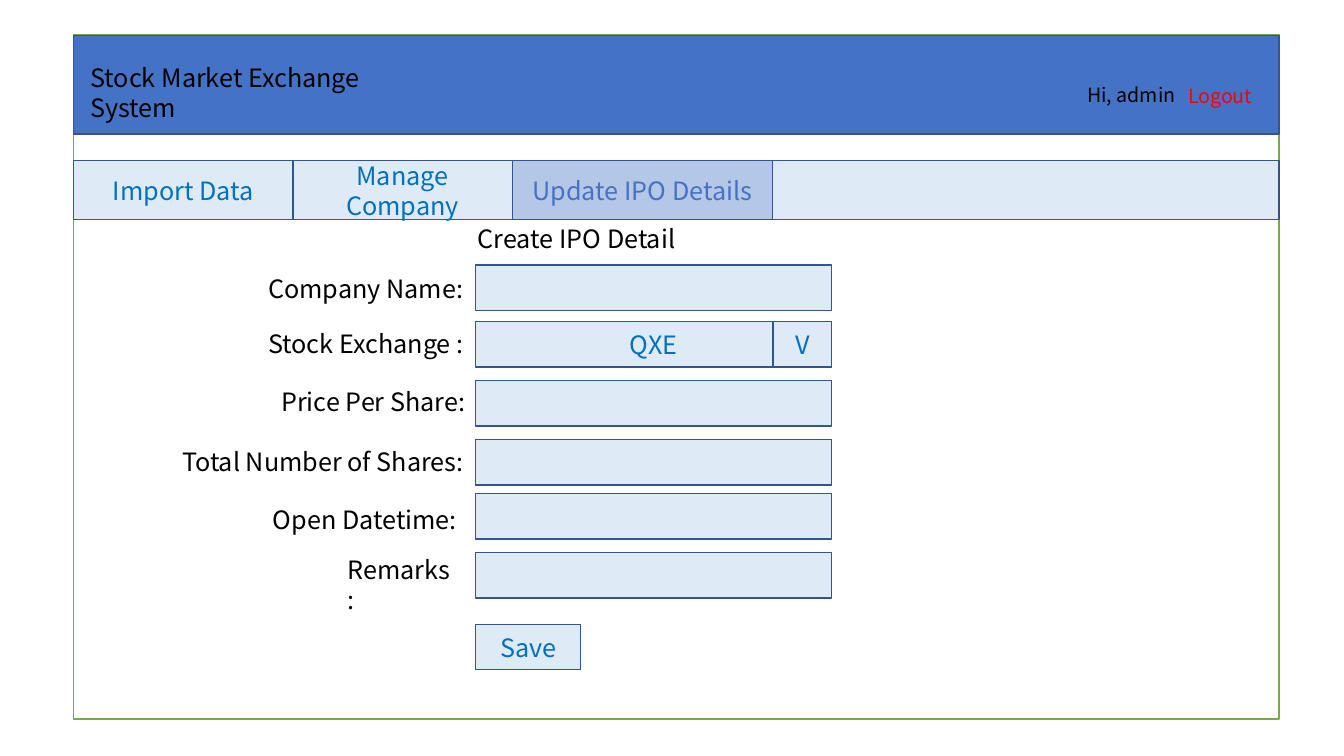
from pptx import Presentation
from pptx.dml.color import RGBColor
from pptx.enum.shapes import MSO_SHAPE
from pptx.enum.text import MSO_ANCHOR, PP_ALIGN
from pptx.util import Cm, Pt

FONT = "Noto Sans CJK SC"
PALE, BLUE, LINK = "DEEBF7", "4472C4", "0070C0"
color = RGBColor.from_string

presentation = Presentation()
presentation.slide_width, presentation.slide_height = Cm(33.87), Cm(19.05)
slide = presentation.slides.add_slide(presentation.slide_layouts[6])


def add_box(left, top, width, height, text="", fill=PALE, line="325491", text_color=LINK):
    shape = slide.shapes.add_shape(
        MSO_SHAPE.RECTANGLE, Cm(left), Cm(top), Cm(width), Cm(height))
    shape.shadow.inherit = False
    shape.fill.solid()
    shape.fill.fore_color.rgb = color(fill)
    shape.line.color.rgb = color(line)
    shape.line.width = Pt(1)
    if text:
        shape.text_frame.vertical_anchor = MSO_ANCHOR.MIDDLE
        write(shape, text, 18, text_color).alignment = PP_ALIGN.CENTER


def write(shape, text, size, text_color):
    shape.text_frame.word_wrap = True
    paragraph = shape.text_frame.paragraphs[0]
    paragraph.text = text
    paragraph.font.name = FONT
    paragraph.font.size = Pt(size)
    paragraph.font.color.rgb = color(text_color)
    return paragraph


# Page frame and header band
page_left, page_width = 1.85, 30.38
add_box(page_left, 0.87, page_width, 17.25, fill="FFFFFF", line="70AD47")
add_box(page_left, 0.89, page_width, 2.49, fill=BLUE)

# Navigation bar with its tabs, the last one active
nav_top, nav_height = 4.04, 1.5
add_box(page_left, nav_top, page_width, nav_height)
tab_left = page_left
for name, width, fill, text_color in [
    ("Import Data", 5.53, PALE, LINK),
    ("Manage Company", 5.53, PALE, LINK),
    ("Update IPO Details", 6.56, "B4C7E7", BLUE),
]:
    add_box(tab_left, nav_top, width, nav_height, name, fill, text_color=text_color)
    tab_left += width

# Form fields, exchange drop-down and button
field_left, field_width, field_height = 11.99, 8.97, 1.15
arrow_width = 1.48
for top, value in [(6.68, ""), (8.1, "QXE"), (9.59, ""), (11.07, ""), (12.43, ""), (13.92, "")]:
    add_box(field_left, top, field_width, field_height, value)
add_box(field_left + field_width - arrow_width, 8.1, arrow_width, field_height, "V")
add_box(field_left, 15.73, 2.64, field_height, "Save")

# Header texts, form heading and field labels
for text, left, top, width, size, text_color in [
    ("Stock Market Exchange System", 2.03, 1.45, 9.4, 18, "000000"),
    ("Hi, admin", 27.15, 1.96, 3.66, 14, "000000"),
    ("Logout", 29.69, 1.98, 3.66, 14, "FF0000"),
    ("Create IPO Detail", 11.79, 5.51, 12.67, 18, "000000"),
    ("Company Name:", 6.51, 6.77, 5.77, 18, "000000"),
    ("Stock Exchange :", 6.51, 8.15, 5.77, 18, "000000"),
    ("Price Per Share:", 6.84, 9.6, 5.77, 18, "000000"),
    ("Total Number of Shares:", 4.34, 11.13, 7.65, 18, "000000"),
    ("Open Datetime:", 6.63, 12.58, 5.77, 18, "000000"),
    ("Remarks:", 8.51, 13.85, 3.15, 18, "000000"),
]:
    height = 1.02 if size == 18 else 0.86
    label = slide.shapes.add_textbox(Cm(left), Cm(top), Cm(width), Cm(height))
    write(label, text, size, text_color)

presentation.save("out.pptx")
